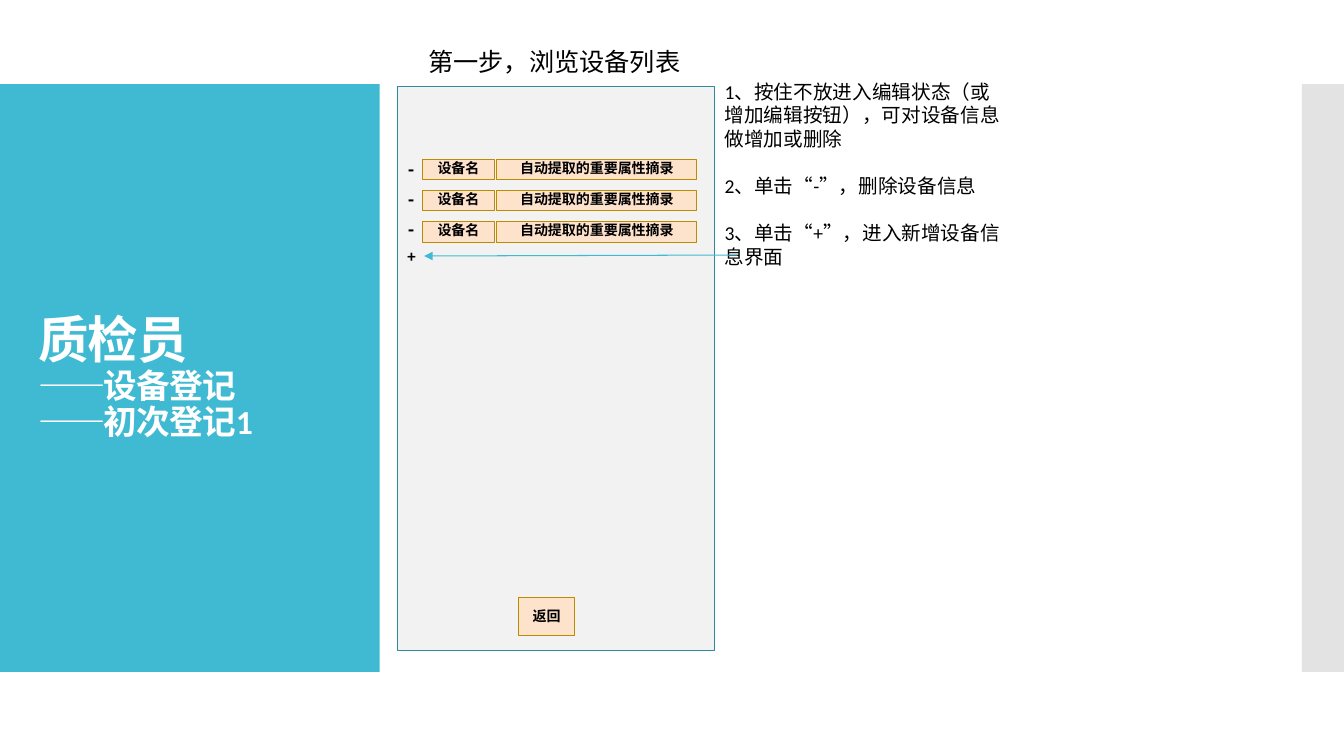
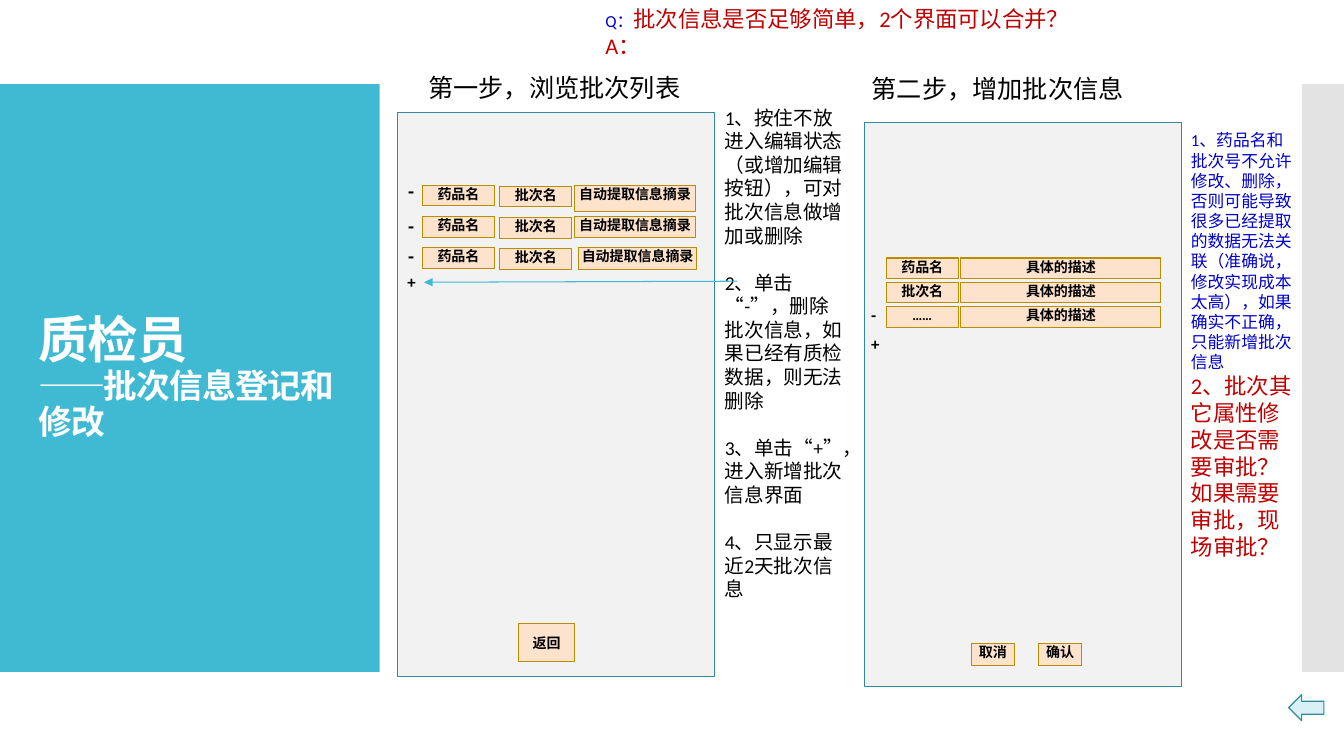
"""Builds two slides sketching the inspector's registration screens."""
from dataclasses import dataclass
from typing import NamedTuple

from lxml import etree
from pptx import Presentation
from pptx import util as u
from pptx.dml.color import RGBColor
from pptx.enum import shapes, text
from pptx.oxml import ns

TEAL = RGBColor(0x40, 0xBA, 0xD2)
DEEP = RGBColor(0x2F, 0x8A, 0x9B)
PALE = RGBColor(0xD9, 0xF1, 0xF6)
MIST = RGBColor(0xF2, 0xF2, 0xF2)
GREY = RGBColor(0xC8, 0xC8, 0xC8)
PEACH = RGBColor(0xFD, 0xE2, 0xCC)
GOLD = RGBColor(0xBB, 0x8B, 0x00)
WHITE = RGBColor(0xFF, 0xFF, 0xFF)
BLACK = RGBColor(0, 0, 0)
BLUE = RGBColor(0, 0, 0xCC)
RED = RGBColor(0xC0, 0, 0)

COLS, ROWS = 160, 90
WIDE, HIGH = u.Inches(13.33), u.Inches(7.5)
FONT = "Calibri"
RECT = shapes.MSO_SHAPE.RECTANGLE
LEFT, MID = text.PP_ALIGN.LEFT, text.PP_ALIGN.CENTER
TOP, CORE = text.MSO_ANCHOR.TOP, text.MSO_ANCHOR.MIDDLE
GAP = 17
LINE, PITCH, FORM = 2.44, 3.72, 2.9
NAME, FIRST, FULL = 8.6, 50.28, 23.8


class Box(NamedTuple):
    """A place on the grid, in columns and rows."""
    x: float
    y: float
    w: float
    h: float

    def emu(self) -> tuple[int, int, int, int]:
        return across(self.x), down(self.y), across(self.w), down(self.h)


@dataclass
class Run:
    """A stretch of text in one format."""
    words: str
    size: float = 14
    hue: RGBColor = BLACK
    bold: bool = False
    track: int = 0


@dataclass
class Para:
    """A paragraph with the space before it, in points."""
    runs: list[Run]
    gap: float = 0
    lead: float = 1.0


@dataclass
class Cell:
    """A label box set out from the top of its panel."""
    words: str
    box: Box


@dataclass
class Page:
    """A list screen with its title, entries and notes."""
    title: list[str]
    head: str
    top: float
    cells: list[Cell]
    dashes: list[float]
    notes: list[Para]
    span: tuple[float, float]


def across(cols: float) -> int:
    """Turn columns into a length."""
    return round(WIDE * cols / COLS)


def down(rows: float) -> int:
    """Turn rows into a length."""
    return round(HIGH * rows / ROWS)


def write(shape, paras: list[Para], inset: bool = True, align=LEFT, anchor=TOP) -> None:
    """Fill a shape with paragraphs."""
    frame = shape.text_frame
    form = {"word_wrap": True, "vertical_anchor": anchor}
    if not inset:
        form |= {f"margin_{side}": 0 for side in ("left", "right", "top", "bottom")}
    for key, val in form.items():
        setattr(frame, key, val)
    for i, para in enumerate(paras):
        item = frame.add_paragraph() if i else frame.paragraphs[0]
        form = {"alignment": align, "space_before": u.Pt(para.gap), "line_spacing": para.lead}
        for key, val in form.items():
            setattr(item, key, val)
        for run in para.runs:
            piece = item.add_run()
            piece.text = run.words
            form = {"name": FONT, "size": u.Pt(run.size), "bold": run.bold}
            for key, val in form.items():
                setattr(piece.font, key, val)
            piece.font.color.rgb = run.hue
            prop = piece._r.get_or_add_rPr()
            prop.set("lang", "zh-CN")
            if run.track:
                prop.set("spc", str(run.track))


def note(slide, box: Box, paras: list[Para], **form) -> None:
    """Add a text box."""
    write(slide.shapes.add_textbox(*box.emu()), paras, **form)


def mark(slide, x: float, y: float, sign: str, size: float) -> None:
    """Add a plus or minus sign."""
    note(slide, Box(x, y, 2, 2.9), [Para([Run(sign, size, bold=True)])], inset=False)


def block(slide, box: Box, fill: RGBColor, edge: RGBColor | None = None,
          width: float = 0.85, kind=RECT):
    """Add a filled shape."""
    shape = slide.shapes.add_shape(kind, *box.emu())
    shape.shadow.inherit = False
    shape.fill.solid()
    shape.fill.fore_color.rgb = fill
    if edge is None:
        shape.line.fill.background()
    else:
        shape.line.color.rgb = edge
        shape.line.width = u.Pt(width)
    return shape


def label(slide, cell: Cell, top: float, anchor=TOP) -> None:
    """Add a bordered label on a panel."""
    box = cell.box._replace(y=top + cell.box.y)
    shape = block(slide, box, PEACH, GOLD, 0.75)
    write(shape, [Para([Run(cell.words, 10, bold=True)])], inset=False, align=MID, anchor=anchor)


def panel(slide, x: float, y: float) -> None:
    """Add an empty screen."""
    block(slide, Box(x, y, 37.8, 67.2), MIST, DEEP)


def arrow(slide, top: float) -> None:
    """Point from the notes to the plus sign."""
    line = slide.shapes.add_connector(
        shapes.MSO_CONNECTOR.STRAIGHT,
        across(87.8), down(top + 20.1), across(50.5), down(top + 20.22))
    line.line.color.rgb = TEAL
    line.line.width = u.Pt(0.75)
    stroke = line.line._get_or_add_ln()
    etree.SubElement(stroke, ns.qn("a:tailEnd"), type="triangle")
    etree.SubElement(line._element.spPr, ns.qn("a:effectLst"))


def base(deck, title: list[str]):
    """Add a slide with its bands and title."""
    slide = deck.slides.add_slide(deck.slide_layouts[6])
    block(slide, Box(0, 10, 45.2, 70), TEAL)
    band = block(slide, Box(155, 10, 5, 70), GREY)
    tint = band._element.spPr.find(f".//{ns.qn('a:srgbClr')}")
    etree.SubElement(tint, ns.qn("a:alpha"), val="50000")
    paras = [Para([Run(words, 24 if i else 36, WHITE, True, -60)], lead=0.9)
             for i, words in enumerate(title)]
    note(slide, Box(3.4, 14.8, 38.6, 60.4), paras, anchor=CORE)
    return slide


def listing(deck, page: Page):
    """Add a slide with a list screen."""
    slide, top = base(deck, page.title), page.top
    panel(slide, 47.3, top)
    note(slide, Box(49.8, top - 5.34, 32.8, 4.8), [Para([Run(page.head, 18)])])
    for cell in page.cells:
        label(slide, cell, top)
    label(slide, Cell("返回", Box(61.7, 60.9, 6.75, 4.45)), top, CORE)
    for y in page.dashes:
        mark(slide, 48.6, top + y, "-", 14)
    mark(slide, 48.5, top + 19.02, "+", 12)
    note(slide, Box(85.1, top - 1.38, *page.span), page.notes)
    arrow(slide, top)
    return slide


def form(slide) -> None:
    """Add the screen for entering a batch."""
    left, top, start = 102.9, 14.58, 16.14
    panel(slide, left, top)
    note(slide, Box(102.6, 8.16, 38.6, 4.8), [Para([Run("第二步，增加批次信息", 18)])])
    for i, words in enumerate(("药品名", "批次名", "……")):
        y = start + i * FORM
        label(slide, Cell(words, Box(105.5, y, NAME, LINE)), top)
        label(slide, Cell("具体的描述", Box(114.4, y, FULL, LINE)), top)
    for i, words in enumerate(("取消", "确认")):
        label(slide, Cell(words, Box(115.6 + i * 8, 61.98, 5.2, 2.64)), top)
    for y, sign in ((21.66, "-"), (25.14, "+")):
        mark(slide, 103.7, top + y, sign, 12)


def gear() -> Page:
    """Describe the device list."""
    rows = [8.7 + i * PITCH for i in range(3)]
    cells = [Cell(words, Box(x, y, w, LINE)) for y in rows for words, x, w in (
        ("设备名", FIRST, NAME), ("自动提取的重要属性摘录", 59.15, FULL))]
    notes = [
        Para([Run("1、按住不放进入编辑状态（或增加编辑按钮），可对设备信息做增加或删除")]),
        Para([Run("2、单击“-”，删除设备信息")], GAP),
        Para([Run("3、单击“+”，进入新增设备信息界面")], GAP)]
    return Page(["质检员", "——设备登记", "——初次登记1"], "第一步，浏览设备列表", 10.26,
                cells, [8.46, 11.94, 15.54], notes, (36.2, 24))


def batch() -> Page:
    """Describe the batch list."""
    cells = []
    for i, (x, w, h) in enumerate(((68.4, 14.4, 3.12), (68.4, 14.4, 2.52), (68.9, 14, 2.52))):
        y = 8.7 + i * PITCH
        cells += [Cell("药品名", Box(FIRST, y, NAME, LINE)),
                  Cell("批次名", Box(59.5, y + 0.12, NAME, LINE)),
                  Cell("自动提取信息摘录", Box(x, y, w, h))]
    notes = [
        Para([Run("1、按住不放进入编辑状态（或增加编辑按钮），可对批次信息做增加或删除")]),
        Para([Run("2、单击")], GAP),
        Para([Run("“-”，删除批次信息，如果已经有质检数据，则无法删除")]),
        Para([Run("3、单击“+”，进入新增批次信息界面")], GAP),
        Para([Run("4、只显示最近2天批次信息")], GAP)]
    return Page(["质检员", "——批次信息登记和修改"], "第一步，浏览批次列表", 13.38,
                cells, [7.98, 12.06, 15.66], notes, (16.6, 60.6))


def main() -> None:
    """Build and save the deck."""
    deck = Presentation()
    deck.slide_width, deck.slide_height = WIDE, HIGH
    listing(deck, gear())
    slide = listing(deck, batch())
    form(slide)
    note(slide, Box(70.9, 0, 70.6, 7.7), [
        Para([Run("Q：", 12, BLUE), Run("批次信息是否足够简单，2个界面可以合并？", 16, RED)]),
        Para([Run("A：", 16, RED)])])
    note(slide, Box(140.6, 14.9, 14.5, 52.9), [
        Para([Run("1、药品名和批次号不允许修改、删除，否则可能导致很多已经提取的数据无法关联"
                  "（准确说，修改实现成本太高），如果确实不正确，只能新增批次信息", 12, BLUE)]),
        Para([Run("2、批次其它属性修改是否需要审批？如果需要审批，现场审批？", 16, RED)])])
    block(slide, Box(153.4, 82.7, 4.2, 3.1), PALE, DEEP, kind=shapes.MSO_SHAPE.LEFT_ARROW)
    deck.save("out.pptx")


if __name__ == "__main__":
    main()
